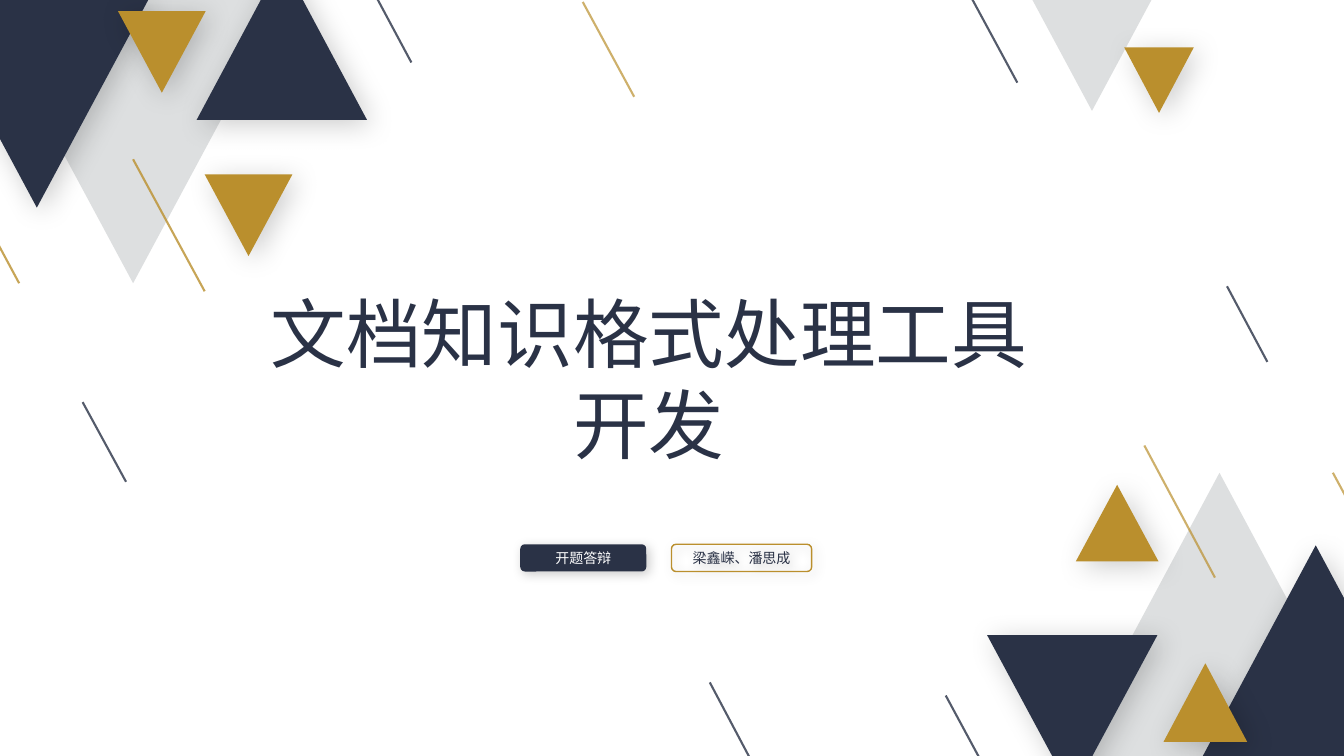
from pptx import Presentation
from pptx.dml.color import RGBColor
from pptx.enum import shapes, text
from pptx.oxml import parse_xml
from pptx.oxml.ns import nsdecls, qn
from pptx.util import Inches, Pt

NAVY = RGBColor(0x2A, 0x32, 0x46)
GOLD = RGBColor(0xBA, 0x8F, 0x2D)
GREY = RGBColor(0xDD, 0xDF, 0xE0)
WHITE = RGBColor(0xFF, 0xFF, 0xFF)
FONT = "Noto Sans CJK SC"

# left, top, width, height, rotation, colour, has shadow
TRIANGLES = [
    (10.24, 0, 1.18, 1.1, 180, GREY, False),
    (10.59, 4.69, 3.01, 2.81, 0, GREY, False),
    (-0.19, 0, 3.02, 2.81, 180, GREY, False),
    (-0.74, 0, 2.21, 2.06, 180, NAVY, True),
    (11.93, 5.41, 2.24, 2.09, 0, NAVY, True),
    (1.95, -0.39, 1.69, 1.58, 0, NAVY, True),
    (10.67, 4.81, 0.82, 0.76, 0, GOLD, True),
    (11.54, 6.58, 0.83, 0.78, 0, GOLD, True),
    (1.17, 0.11, 0.87, 0.81, 180, GOLD, True),
    (2.03, 1.73, 0.87, 0.81, 180, GOLD, True),
    (11.15, 0.47, 0.69, 0.65, 180, GOLD, True),
    (9.79, 6.3, 1.69, 1.57, 180, NAVY, True),
]

# start x, start y, end x, end y, colour, opacity in percent
STREAKS = [
    (5.78, 0.02, 6.29, 0.96, GOLD, 70),
    (9.62, -0.05, 10.09, 0.82, NAVY, 80),
    (3.39, -0.67, 4.08, 0.62, NAVY, 80),
    (1.32, 1.58, 2.03, 2.89, GOLD, 80),
    (11.35, 4.42, 12.05, 5.73, GOLD, 70),
    (12.17, 2.84, 12.57, 3.59, NAVY, 80),
    (13.22, 4.69, 13.77, 5.71, GOLD, 70),
    (9.38, 6.9, 9.93, 7.92, NAVY, 80),
    (7.04, 6.77, 7.58, 7.79, NAVY, 80),
    (0.82, 3.99, 1.25, 4.78, NAVY, 80),
    (-0.31, 1.88, 0.19, 2.81, GOLD, 80),
]


def add_shadow(sp, blur, dist):
    """Soft black shadow towards the lower right."""
    sp._element.spPr.append(parse_xml(
        f'<a:effectLst {nsdecls("a")}><a:outerShdw blurRad="{Pt(blur)}" '
        f'dist="{Pt(dist)}" dir="2700000" algn="tl" rotWithShape="0">'
        '<a:srgbClr val="000000"><a:alpha val="20000"/></a:srgbClr>'
        '</a:outerShdw></a:effectLst>'))


def add_triangle(s, left, top, width, height, rotation, color, shadow):
    sp = s.shapes.add_shape(shapes.MSO_SHAPE.ISOSCELES_TRIANGLE, Inches(left),
                            Inches(top), Inches(width), Inches(height))
    sp.rotation = rotation
    sp.fill.solid()
    sp.fill.fore_color.rgb = color
    sp.line.fill.background()
    if shadow:
        add_shadow(sp, 20, 5)
    else:
        sp.shadow.inherit = False


def add_streak(s, x1, y1, x2, y2, color, opacity):
    cn = s.shapes.add_connector(shapes.MSO_CONNECTOR.STRAIGHT, Inches(x1),
                                Inches(y1), Inches(x2), Inches(y2))
    cn.line.color.rgb = color
    cn.line.width = Pt(1.5)
    spPr = cn._element.spPr
    clr = spPr.find(".//" + qn("a:srgbClr"))
    clr.append(parse_xml(f'<a:alpha {nsdecls("a")} val="{opacity * 1000}"/>'))
    spPr.append(parse_xml(f'<a:effectLst {nsdecls("a")}/>'))


def write(sp, words, size, color, **frame):
    tf = sp.text_frame
    for name, value in {"word_wrap": True, **frame}.items():
        setattr(tf, name, value)
    p = tf.paragraphs[0]
    p.alignment = text.PP_ALIGN.CENTER
    r = p.add_run()
    r.text = words
    for name, value in {"name": FONT, "size": Pt(size)}.items():
        setattr(r.font, name, value)
    r.font.color.rgb = color
    r.font._element.append(
        parse_xml(f'<a:ea {nsdecls("a")} typeface="{FONT}"/>'))
    return p


def add_title(s, words):
    sp = s.shapes.add_textbox(Inches(2.37), Inches(2.74), Inches(8.13),
                              Inches(1.92))
    p = write(sp, words, 54, NAVY, margin_top=Inches(0.1), margin_bottom=0)
    p.line_spacing = Pt(65)


def add_label(s, left, width, words, color, fill=None, outline=None):
    sp = s.shapes.add_shape(shapes.MSO_SHAPE.ROUNDED_RECTANGLE, Inches(left),
                            Inches(5.4), Inches(width), Inches(0.27))
    if fill:
        sp.fill.solid()
        sp.fill.fore_color.rgb = fill
    else:
        sp.fill.background()
    if outline:
        sp.line.color.rgb = outline
        sp.line.width = Pt(1)
    else:
        sp.line.fill.background()
    add_shadow(sp, 8, 3)
    write(sp, words, 10, color, margin_top=0, margin_bottom=0,
          vertical_anchor=text.MSO_ANCHOR.MIDDLE)


def main():
    prs = Presentation()
    prs.slide_width, prs.slide_height = Inches(13.33), Inches(7.5)
    s = prs.slides.add_slide(prs.slide_layouts[6])

    # Corner decoration
    for triangle in TRIANGLES:
        add_triangle(s, *triangle)
    for streak in STREAKS:
        add_streak(s, *streak)

    # Title and labels
    add_title(s, "文档知识格式处理工具开发")
    add_label(s, 5.16, 1.25, "开题答辩", WHITE, fill=NAVY)
    add_label(s, 6.66, 1.39, "梁鑫嵘、潘思成", NAVY, outline=GOLD)

    prs.save("out.pptx")


if __name__ == "__main__":
    main()
